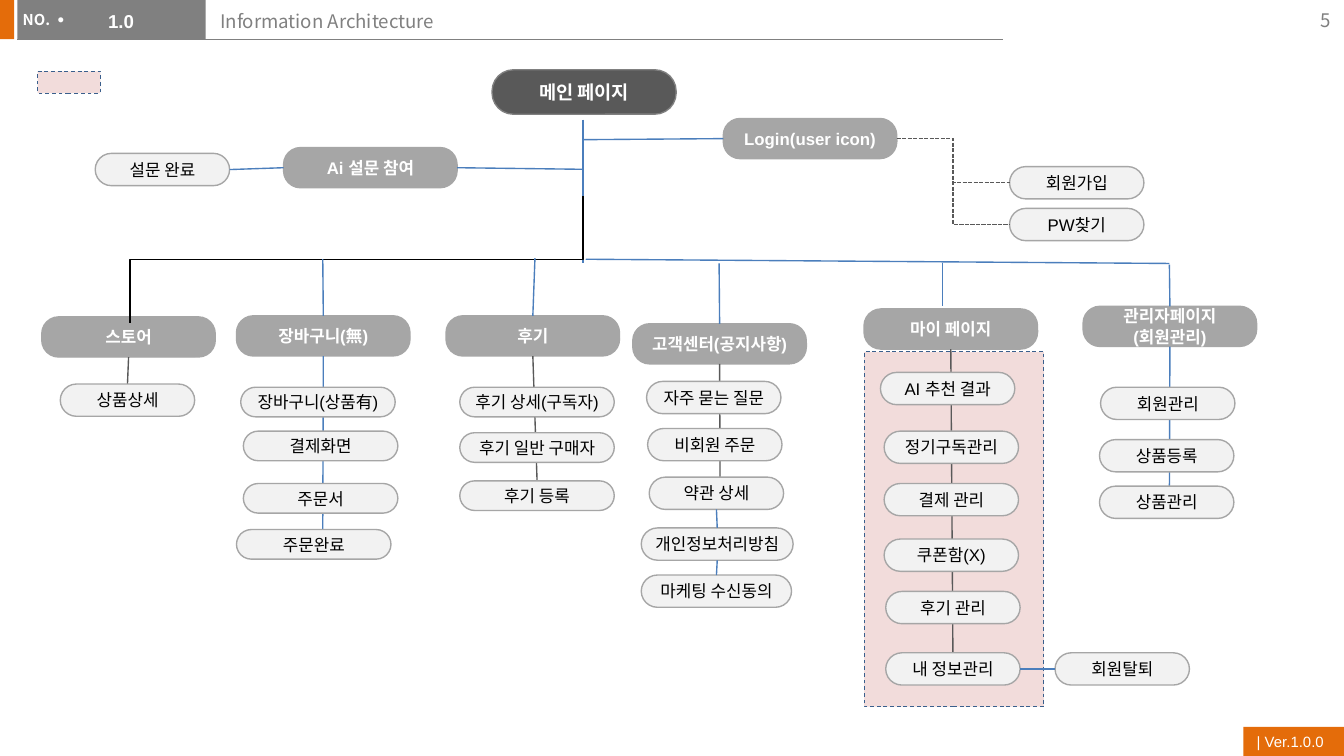
from lxml import etree
from pptx import Presentation
from pptx.dml.color import RGBColor
from pptx.enum.dml import MSO_LINE
from pptx.enum.shapes import MSO_CONNECTOR, MSO_SHAPE
from pptx.enum.text import MSO_ANCHOR, PP_ALIGN
from pptx.oxml.ns import qn
from pptx.util import Cm, Pt

STRAIGHT, ELBOW = MSO_CONNECTOR.STRAIGHT, MSO_CONNECTOR.ELBOW
RECTANGLE, ROUNDED = MSO_SHAPE.RECTANGLE, MSO_SHAPE.ROUNDED_RECTANGLE
DASH, SQUARE_DOT = MSO_LINE.DASH, MSO_LINE.SQUARE_DOT
TOP_ANCHOR, MIDDLE = MSO_ANCHOR.TOP, MSO_ANCHOR.MIDDLE
LEFT_ALIGN, CENTER, RIGHT_ALIGN = PP_ALIGN.LEFT, PP_ALIGN.CENTER, PP_ALIGN.RIGHT
TOP, LEFT, BOTTOM, RIGHT = range(4)

ORANGE = RGBColor(0xE4, 0x6C, 0x0A)
GRAY = RGBColor(0x80, 0x80, 0x80)
DARK = RGBColor(0x59, 0x59, 0x59)
MID_GRAY = RGBColor(0xA6, 0xA6, 0xA6)
LIGHT = RGBColor(0xF2, 0xF2, 0xF2)
PINK = RGBColor(0xF2, 0xDC, 0xDB)
NAVY = RGBColor(0x3A, 0x5F, 0x8C)
BLUE = RGBColor(0x4B, 0x7E, 0xBC)
WHITE = RGBColor(0xFF, 0xFF, 0xFF)
BLACK = RGBColor(0, 0, 0)

SANS, KOREAN = "Arial", "Noto Sans CJK KR"
TRUNK_X = 11.02
PAGE_SIZE = (2.54, 0.61)
WIDE_SIZE = (2.92, 0.56)

COLUMNS = [
    ("스토어", 0.79, 5.99, PAGE_SIZE, DARK, None, [("상품상세", 1.14, 7.26)]),
    ("장바구니(無)", 4.47, 5.97, WIDE_SIZE, BLUE, (6.1, 10.01), [
        ("장바구니(상품有)", 4.55, 7.32), ("결제화면", 4.6, 8.15),
        ("주문서", 4.6, 9.14), ("주문완료", 4.47, 10.01)]),
    ("후기", 8.43, 5.97, WIDE_SIZE, DARK, None, [
        ("후기 상세(구독자)", 8.69, 7.32), ("후기 일반 구매자", 8.69, 8.18),
        ("후기 등록", 8.69, 9.09)]),
    ("고객센터(공지사항)", 11.96, 6.12, PAGE_SIZE, DARK, (13.61, 9.58), [
        ("자주 묻는 질문", 12.22, 7.21), ("비회원 주문", 12.24, 8.1),
        ("약관 상세", 12.27, 9.02)]),
    ("마이 페이지", 16.33, 5.84, PAGE_SIZE, DARK, None, [
        ("AI 추천 결과", 16.64, 7.04), ("정기구독관리", 16.71, 8.15),
        ("결제 관리", 16.71, 9.14), ("쿠폰함(X)", 16.71, 10.19),
        ("후기 관리", 16.74, 11.18), ("내 정보관리", 16.74, 12.34)]),
    ("관리자페이지(회원관리)", 20.47, 5.79, PAGE_SIZE, BLUE, (22.1, 9.42), [
        ("회원관리", 20.8, 7.32), ("상품등록", 20.78, 8.31), ("상품관리", 20.78, 9.19)]),
]


def write_text(shape, text, size, color, font=SANS, bold=False, align=LEFT_ALIGN, anchor=MIDDLE):
    frame = shape.text_frame
    frame.text = text
    frame.vertical_anchor = anchor
    paragraph = frame.paragraphs[0]
    paragraph.alignment = align
    paragraph.space_before = Pt(0)
    paragraph.font.name = font
    paragraph.font.size = Pt(size)
    paragraph.font.bold = bold
    paragraph.font.color.rgb = color


def add_box(slide, kind, left, top, width, height, fill, line=None, line_width=0.75):
    shape = slide.shapes.add_shape(kind, Cm(left), Cm(top), Cm(width), Cm(height))
    shape.shadow.inherit = False
    shape.fill.solid()
    shape.fill.fore_color.rgb = fill
    if line is None:
        shape.line.fill.background()
    else:
        shape.line.color.rgb = line
        shape.line.width = Pt(line_width)
    return shape


def add_node(slide, text, left, top, size, fill, line, color, text_size, bold, rounding):
    shape = add_box(slide, ROUNDED, left, top, *size, fill, line)
    shape.adjustments[0] = rounding
    frame = shape.text_frame
    frame.word_wrap = True
    frame.margin_left = frame.margin_right = Cm(0.05)
    frame.margin_top = frame.margin_bottom = Cm(0.05)
    write_text(shape, text, text_size, color, bold=bold, align=CENTER)
    return shape


def add_section(slide, text, left, top):
    return add_node(slide, text, left, top, (3.28, 0.76), MID_GRAY, MID_GRAY, WHITE, 9, True, 0.42)


def add_page(slide, text, left, top, size=PAGE_SIZE):
    return add_node(slide, text, left, top, size, LIGHT, MID_GRAY, BLACK, 9, False, 0.5)


def add_dashed_area(slide, left, top, width, height):
    area = add_box(slide, RECTANGLE, left, top, width, height, PINK, NAVY, 0.5)
    area.line.dash_style = DASH


def add_link(slide, start, end, color=BLUE, kind=STRAIGHT, width=0.75):
    loose = [(0, 0) if hasattr(point[0], "shape_id") else point for point in (start, end)]
    connector = slide.shapes.add_connector(kind, *(Cm(value) for point in loose for value in point))
    for point, connect in ((start, connector.begin_connect), (end, connector.end_connect)):
        if hasattr(point[0], "shape_id"):
            connect(*point)
    connector.line.color.rgb = color
    connector.line.width = Pt(width)
    etree.SubElement(connector._element.spPr, qn("a:effectLst"))
    return connector


def add_falling_elbow(slide, start, end, color):
    (right, top), (left, bottom) = start, end
    center_x, center_y = (left + right) / 2, (top + bottom) / 2
    half_run, half_drop = (right - left) / 2, (bottom - top) / 2
    connector = add_link(
        slide, (center_x - half_drop, center_y - half_run),
        (center_x + half_drop, center_y + half_run), color, ELBOW)
    connector._element.spPr.find(qn("a:xfrm")).set("rot", "5400000")


def add_column(slide, text, left, top, size, color, spine_end, children):
    section = add_section(slide, text, left, top)
    last = add_page(slide, *children[-1], size)
    spine = add_link(slide, (section, BOTTOM), spine_end or (last, TOP), color)
    last._element.addprevious(spine._element)
    for child in children[:-1]:
        add_page(slide, *child, size)
    return section, last


def place(placeholder, left, top, width, height):
    placeholder.left, placeholder.top = Cm(left), Cm(top)
    placeholder.width, placeholder.height = Cm(width), Cm(height)


def add_header(slide):
    add_box(slide, RECTANGLE, -0.03, 0, 0.3, 0.74, ORANGE)
    version = add_box(slide, RECTANGLE, 23.5, 13.74, 1.9, 0.55, ORANGE)
    write_text(version, "| Ver.1.0.0", 8, WHITE)
    add_link(slide, (0.33, 0.74), (18.95, 0.74), GRAY, width=0.5)
    number_band = add_box(slide, RECTANGLE, 0.33, 0, 3.56, 0.74, GRAY)
    label = slide.shapes.add_textbox(Cm(0.18), Cm(0.08), Cm(1.04), Cm(0.61))
    write_text(label, "NO.", 8, WHITE, KOREAN, True, anchor=TOP_ANCHOR)
    page_number = slide.shapes.add_textbox(Cm(23.88), Cm(0), Cm(1.52), Cm(0.76))
    write_text(page_number, "5", 10, GRAY, KOREAN, align=RIGHT_ALIGN)

    title, body = slide.shapes.title, slide.placeholders[1]
    for placeholder in (title, body):
        number_band._element.getparent().append(placeholder._element)
    place(title, 3.91, 0.05, 15.01, 0.81)
    write_text(title, "Information Architecture", 10, GRAY, KOREAN, anchor=TOP_ANCHOR)
    place(body, 1.09, 0.05, 2.79, 0.79)
    body.text_frame.margin_left = body.text_frame.margin_right = 0
    properties = body.text_frame.paragraphs[0]._p.get_or_add_pPr()
    properties.set("marL", "0")
    properties.set("indent", "0")
    etree.SubElement(properties, qn("a:buNone"))
    write_text(body, "1.0", 10, WHITE, bold=True, anchor=TOP_ANCHOR)


def add_upper_branches(slide):
    add_node(slide, "메인 페이지", 9.3, 1.32, (3.48, 0.84), DARK, GRAY, WHITE, 10, True, 0.48)
    login = add_section(slide, "Login(user icon)", 13.67, 2.24)
    survey = add_section(slide, "Ai 설문 참여", 5.36, 2.79)
    survey_done = add_page(slide, "설문 완료", 1.8, 2.9)
    for text, top in (("회원가입", 3.15), ("PW찾기", 3.94)):
        page = add_page(slide, text, 19.08, top)
        link = add_link(slide, (login, RIGHT), (page, LEFT), DARK, ELBOW)
        link.line.dash_style = SQUARE_DOT
    add_link(slide, (TRUNK_X, 3.2), (survey, RIGHT))
    add_link(slide, (TRUNK_X, 2.64), (login, LEFT))
    add_link(slide, (survey_done, RIGHT), (survey, LEFT))
    add_link(slide, (TRUNK_X, 2.26), (TRUNK_X, 4.98))


def add_lower_branches(slide):
    add_dashed_area(slide, 16.33, 6.65, 3.4, 6.71)
    columns = [add_column(slide, *column) for column in COLUMNS]
    _, cart, review, support, _, admin = [section for section, _ in columns]
    terms, my_information = columns[3][1], columns[4][1]

    add_falling_elbow(slide, (TRUNK_X, 3.71), (2.46, 6.1), BLACK)
    add_link(slide, (11.07, 4.9), (22.1, 4.98))
    for x, y, section in ((6.1, 4.9, cart), (10.11, 4.88, review),
                          (13.59, 4.98, support), (22.1, 5, admin)):
        add_link(slide, (x, y), (section, TOP))
    add_link(slide, (17.81, 4.98), (17.81, 5.79))

    privacy = add_page(slide, "개인정보처리방침", 12.12, 9.98, (2.87, 0.61))
    marketing = add_page(slide, "마케팅 수신동의", 12.12, 10.87, (2.84, 0.61))
    add_link(slide, (terms, BOTTOM), (privacy, TOP))
    add_link(slide, (privacy, BOTTOM), (marketing, TOP))
    withdrawal = add_page(slide, "회원탈퇴", 19.94, 12.34)
    add_link(slide, (my_information, RIGHT), (withdrawal, LEFT))


def main():
    presentation = Presentation()
    presentation.slide_width, presentation.slide_height = Cm(25.4), Cm(14.29)
    slide = presentation.slides.add_slide(presentation.slide_layouts[1])
    add_header(slide)
    add_dashed_area(slide, 0.71, 1.35, 1.19, 0.41)
    add_upper_branches(slide)
    add_lower_branches(slide)
    presentation.save("out.pptx")


if __name__ == "__main__":
    main()
